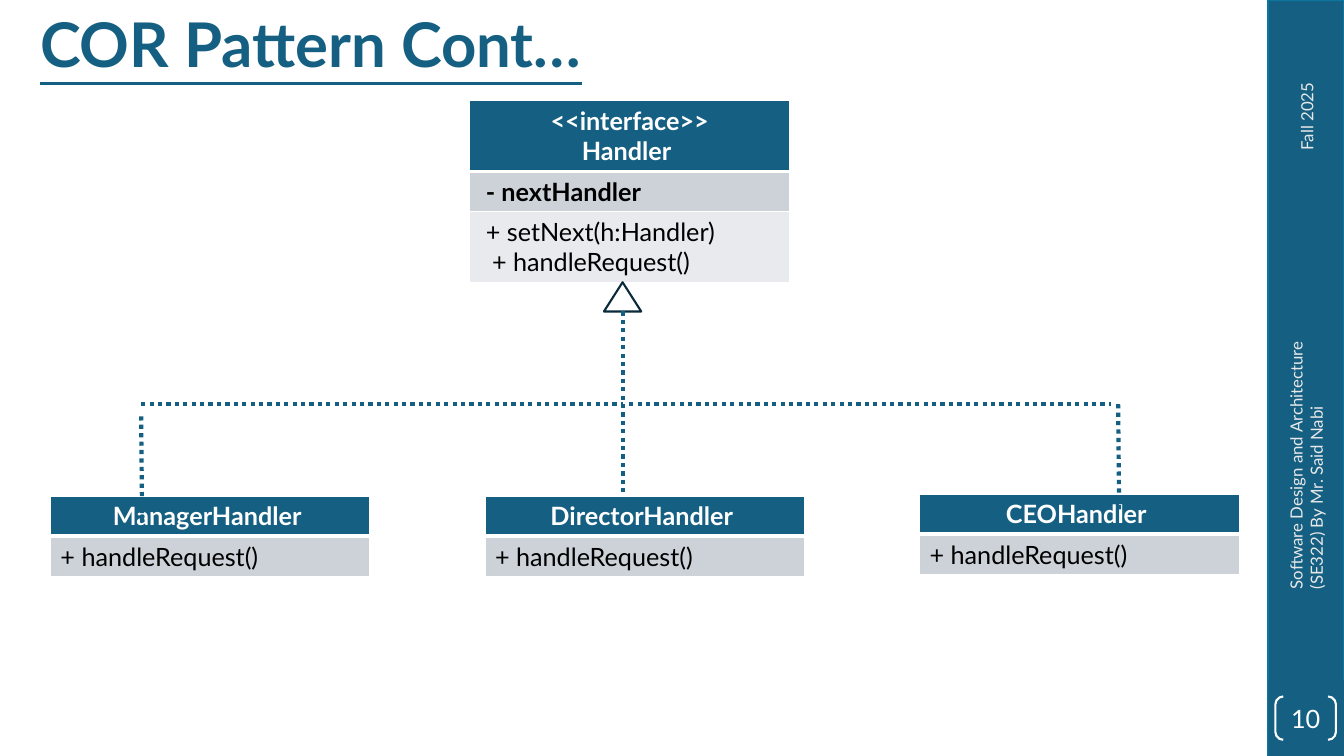
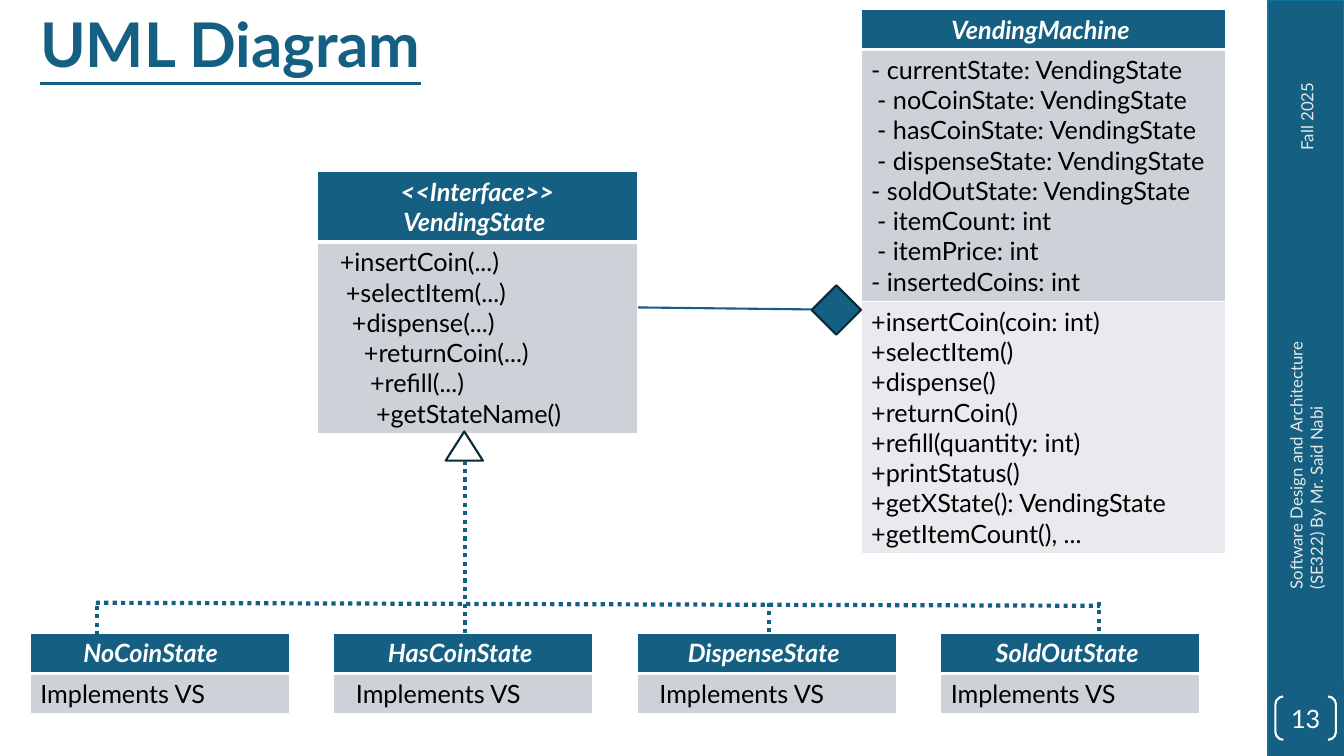
from dataclasses import dataclass

from lxml import etree
from pptx import Presentation
from pptx import util as u
from pptx.dml.color import RGBColor
from pptx.enum import dml, shapes, text
from pptx.oxml.ns import qn

EMU_PER_PX = 9144


@dataclass(frozen=True)
class Theme:
    font: str = "Lato"
    primary: str = "156082"
    band_edge: str = "0B76A0"
    outline: str = "092A39"
    white: str = "FFFFFF"
    footer: str = "E8E8E8"
    black: str = "000000"
    sections: tuple = ("CCD2D8", "E8EAED")
    title_size: int = 44
    body_size: int = 18
    footer_size: int = 12
    line: float = 1.5
    dotted_line: int = 3
    cell_line: int = 1
    header_line: int = 3
    indent_step: int = 6


THEME = Theme()


def px(value):
    return u.Emu(round(value * EMU_PER_PX))


def rgb(value):
    return RGBColor.from_string(value)


def write(paragraph, content, *, size=THEME.body_size, color=THEME.black,
          bold=False, italic=False, underline=False, align=None, left=0, right=0):
    properties = paragraph._p.get_or_add_pPr()
    for name, steps in (("marL", left), ("marR", right)):
        if steps:
            properties.set(name, str(px(steps * THEME.indent_step)))
    if align is not None:
        paragraph.alignment = align
    run = paragraph.add_run()
    run.text = content
    font = run.font
    font.name, font.size = THEME.font, u.Pt(size)
    font.bold, font.italic, font.underline = bold, italic, underline
    font.color.rgb = rgb(color)


def add_text(slide, box, content, *, rotation=0, line_spacing=None, **style):
    shape = slide.shapes.add_textbox(*map(px, box))
    shape.rotation = rotation
    shape.text_frame.word_wrap = True
    paragraph = shape.text_frame.paragraphs[0]
    if line_spacing:
        paragraph.line_spacing = line_spacing
    write(paragraph, content, **style)


def add_shape(slide, kind, box, *, fill=None, line=None):
    shape = slide.shapes.add_shape(kind, *map(px, box))
    shape.shadow.inherit = False
    if fill:
        shape.fill.solid()
        shape.fill.fore_color.rgb = rgb(fill)
    else:
        shape.fill.background()
    if line:
        shape.line.color.rgb = rgb(line)
        shape.line.width = u.Pt(THEME.line)
    else:
        shape.line.fill.background()
    return shape


def add_line(slide, start, end, dotted=True):
    connector = slide.shapes.add_connector(
        shapes.MSO_CONNECTOR.STRAIGHT, *map(px, (*start, *end)))
    connector.line.color.rgb = rgb(THEME.primary)
    connector.line.width = u.Pt(THEME.dotted_line if dotted else THEME.line)
    if dotted:
        connector.line.dash_style = dml.MSO_LINE.ROUND_DOT
    etree.SubElement(connector._element.spPr, qn("a:effectLst"))


def format_cell(cell, fill, bottom_line):
    properties = cell._tc.get_or_add_tcPr()
    for side in "LRTB":
        width = bottom_line if side == "B" else THEME.cell_line
        border = etree.SubElement(properties, qn(f"a:ln{side}"), w=str(u.Pt(width)))
        solid = etree.SubElement(border, qn("a:solidFill"))
        etree.SubElement(solid, qn("a:srgbClr"), val=THEME.white)
    cell.fill.solid()
    cell.fill.fore_color.rgb = rgb(fill)


def fill_cell(cell, lines, side, **style):
    frame = cell.text_frame
    for index, line in enumerate(lines):
        content, steps = line if isinstance(line, tuple) else (line, 0)
        paragraph = frame.add_paragraph() if index else frame.paragraphs[0]
        write(paragraph, content, **{side: steps}, **style)


def add_class(slide, left, top, width, header, *sections,
              italic=False, bold_fields=False):
    heights = [30 * len(lines) + 10 for lines in (header, *sections)]
    frame = slide.shapes.add_table(
        len(heights), 1, *map(px, (left, top, width, sum(heights))))
    table = frame.table
    table.first_row = table.horz_banding = False
    for row, height in zip(table.rows, heights):
        row.height = px(height)
    format_cell(table.cell(0, 0), THEME.primary, THEME.header_line)
    fill_cell(table.cell(0, 0), header, "right", color=THEME.white,
              bold=True, italic=italic, align=text.PP_ALIGN.CENTER)
    for index, lines in enumerate(sections):
        cell = table.cell(index + 1, 0)
        format_cell(cell, THEME.sections[index], THEME.cell_line)
        fill_cell(cell, lines, "left", bold=bold_fields and index == 0)


def add_inheritance_arrow(slide, center, top, end):
    add_shape(slide, shapes.MSO_SHAPE.ISOSCELES_TRIANGLE,
              (center - 19, top, 37, 29), line=THEME.outline)
    add_line(slide, (center, top + 29), (center, end))


def add_base_slide(presentation, title, number):
    slide = presentation.slides.add_slide(presentation.slide_layouts[6])
    rectangle = shapes.MSO_SHAPE.RECTANGLE
    add_shape(slide, rectangle, (1258, 0, 75, 750),
              fill=THEME.primary, line=THEME.band_edge)
    add_shape(slide, rectangle, (1258, 675, 75, 75), fill=THEME.primary)
    for box, content in (
        ((1225, 73, 142, 30), "Fall 2025"),
        ((1162, 436, 267, 50),
         "Software Design and Architecture (SE322) By Mr. Said Nabi"),
    ):
        add_text(slide, box, content, rotation=270,
                 size=THEME.footer_size, color=THEME.footer)
    bracket = add_shape(slide, shapes.MSO_SHAPE.DOUBLE_BRACKET,
                        (1265, 691, 60, 43), line=THEME.white)
    bracket.adjustments[0] = 0.18
    frame = bracket.text_frame
    frame.margin_left = frame.margin_right = frame.margin_top = frame.margin_bottom = 0
    frame.vertical_anchor = text.MSO_ANCHOR.MIDDLE
    write(frame.paragraphs[0], str(number), color=THEME.white,
          align=text.PP_ALIGN.CENTER)
    add_text(slide, (30, 9, 1241, 71), title, line_spacing=0.9,
             size=THEME.title_size, color=THEME.primary, bold=True, underline=True)
    return slide


def build_handler_slide(presentation):
    slide = add_base_slide(presentation, "COR Pattern Cont…", 10)
    add_class(slide, 466, 100, 317, ["<<interface>>", ("Handler", 1)],
              [("- nextHandler", 1)],
              [("+ setNext(h:Handler)", 1), ("+ handleRequest()", 2)],
              bold_fields=True)
    handlers = (("ManagerHandler", 492), ("DirectorHandler", 492), ("CEOHandler", 490))
    for index, (name, top) in enumerate(handlers):
        add_class(slide, 50 + 431 * index, top, 317, [(name, 1)], ["+ handleRequest()"])
    add_inheritance_arrow(slide, 618, 280, 492)
    for start, end in (
        ((624, 401), (1102, 401)),
        ((140, 401), (618, 401)),
        ((1109, 401), (1110, 509)),
        ((140, 413), (141, 521)),
    ):
        add_line(slide, start, end)


def build_vending_slide(presentation):
    slide = add_base_slide(presentation, "UML Diagram", 13)
    add_class(slide, 315, 170, 317, ["<<Interface>>", ("VendingState", 1)],
              [("+insertCoin(...)", 2), ("+selectItem(...)", 3),
               ("+dispense(...)", 4), ("+returnCoin(...)", 6),
               ("+refill(...)", 7), ("+getStateName()", 8)], italic=True)
    states = (("NoCoinState", 3, 0), ("HasCoinState", 1, 2),
              ("DispenseState", 1, 2), ("SoldOutState", 1, 0))
    for index, (name, trailing, leading) in enumerate(states):
        add_class(slide, 30 + 301 * index, 628, 257, [(name, trailing)],
                  [("Implements VS", leading)], italic=True)
    add_class(slide, 854, 9, 362, [("VendingMachine", 1)],
              ["- currentState: VendingState", ("- noCoinState: VendingState", 1),
               ("- hasCoinState: VendingState", 1),
               ("- dispenseState: VendingState", 1),
               "- soldOutState: VendingState", ("- itemCount: int", 1),
               ("- itemPrice: int", 1), "- insertedCoins: int"],
              ["+insertCoin(coin: int)", "+selectItem()", "+dispense()",
               "+returnCoin()", "+refill(quantity: int)", "+printStatus()",
               "+getXState(): VendingState", "+getItemCount(), ..."], italic=True)
    add_inheritance_arrow(slide, 461, 428, 640)
    add_line(slide, (95, 598), (1091, 601))
    for center, top in ((763, 598), (1090, 597), (96, 601)):
        add_line(slide, (center, top), (center, top + 30))
    add_shape(slide, shapes.MSO_SHAPE.DIAMOND, (805, 283, 49, 49),
              fill=THEME.primary, line=THEME.outline)
    add_line(slide, (805, 307), (633, 305), dotted=False)


def main():
    presentation = Presentation()
    presentation.slide_width, presentation.slide_height = u.Inches(13.33), u.Inches(7.5)
    build_handler_slide(presentation)
    build_vending_slide(presentation)
    presentation.save("out.pptx")


if __name__ == "__main__":
    main()
